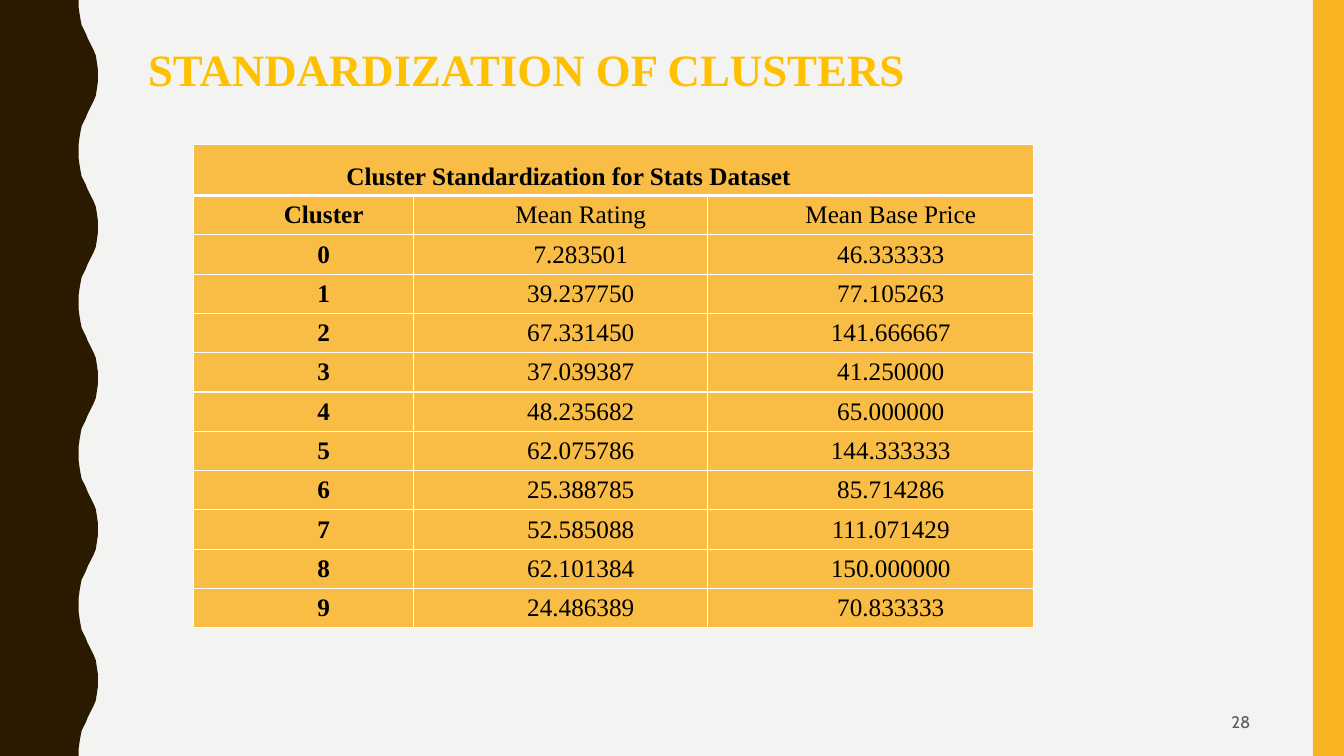
from lxml import etree
from pptx import Presentation
from pptx.dml.color import RGBColor
from pptx.enum.shapes import MSO_SHAPE
from pptx.enum.text import MSO_ANCHOR, PP_ALIGN
from pptx.oxml.ns import qn
from pptx.util import Inches, Pt

RECTANGLE = MSO_SHAPE.RECTANGLE
TOP, MIDDLE = MSO_ANCHOR.TOP, MSO_ANCHOR.MIDDLE
LEFT, CENTER, RIGHT = PP_ALIGN.LEFT, PP_ALIGN.CENTER, PP_ALIGN.RIGHT

TITLE = "STANDARDIZATION OF CLUSTERS"
PAGE_NUMBER = "28"
TABLE_TITLE = "Cluster Standardization for Stats Dataset"
TABLE_ROWS = [
    ("Cluster", "Mean Rating", "Mean Base Price"),
    ("0", "7.283501", "46.333333"),
    ("1", "39.237750", "77.105263"),
    ("2", "67.331450", "141.666667"),
    ("3", "37.039387", "41.250000"),
    ("4", "48.235682", "65.000000"),
    ("5", "62.075786", "144.333333"),
    ("6", "25.388785", "85.714286"),
    ("7", "52.585088", "111.071429"),
    ("8", "62.101384", "150.000000"),
    ("9", "24.486389", "70.833333"),
]
COLUMN_WIDTHS = (2.18, 2.92, 3.23)
TITLE_ROW_HEIGHT, ROW_HEIGHT = 0.51, 0.39
SERIF, SANS = "Times New Roman", "Cabin"

WAVE_COUNT, WAVE_PERIOD = 5, 1.5
HALF_WAVE = [
    (0.78, 0), (0.78, 0.07), (0.79, 0.14), (0.8, 0.2), (0.81, 0.25),
    (0.83, 0.29), (0.85, 0.33), (0.87, 0.38), (0.89, 0.42), (0.91, 0.46),
    (0.93, 0.5), (0.95, 0.55), (0.96, 0.61), (0.97, 0.68), (0.97, 0.75),
]


def color(value):
    return RGBColor.from_string(value)


def paint(shape, value):
    shape.fill.solid()
    shape.fill.fore_color.rgb = color(value)
    shape.line.fill.background()
    shape.shadow.inherit = False


def write(text_frame, text, font_name, size, value, alignment, bold=False):
    text_frame.text = text
    paragraph = text_frame.paragraphs[0]
    paragraph.alignment = alignment
    font = paragraph.runs[0].font
    font.name, font.size, font.bold = font_name, Pt(size), bold
    font.color.rgb = color(value)
    return paragraph


def add_text(slide, box, anchor, *style):
    text_frame = slide.shapes.add_textbox(*map(Inches, box)).text_frame
    text_frame.word_wrap = True
    text_frame.vertical_anchor = anchor
    return write(text_frame, *style)


def add_wavy_band(slide):
    wave = HALF_WAVE + [(x, WAVE_PERIOD - y) for x, y in HALF_WAVE[-2::-1]]
    edge = [(x, y + WAVE_PERIOD * i) for i in range(WAVE_COUNT) for x, y in wave]
    outline = edge + [(0, WAVE_COUNT * WAVE_PERIOD)]
    builder = slide.shapes.build_freeform(0, 0)
    builder.add_line_segments([(Inches(x), Inches(y)) for x, y in outline], close=True)
    paint(builder.convert_to_shape(), "2A1A00")


def style_cell(cell, top, bottom):
    cell.vertical_anchor = MIDDLE
    cell.margin_left = cell.margin_right = Inches(0.07)
    cell.margin_top = cell.margin_bottom = 0
    properties = cell._tc.get_or_add_tcPr()
    for side, width in (("L", 1), ("R", 1), ("T", top), ("B", bottom)):
        line = etree.SubElement(properties, qn(f"a:ln{side}"), w=str(Pt(width)))
        fill = etree.SubElement(line, qn("a:solidFill"))
        etree.SubElement(fill, qn("a:srgbClr"), val="FFFFFF")
    cell.fill.solid()
    cell.fill.fore_color.rgb = color("F9BD45")


def add_cluster_table(slide):
    row_count, column_count = len(TABLE_ROWS) + 1, len(COLUMN_WIDTHS)
    height = TITLE_ROW_HEIGHT + ROW_HEIGHT * len(TABLE_ROWS)
    box = (1.92, 1.43, sum(COLUMN_WIDTHS), height)
    table = slide.shapes.add_table(row_count, column_count, *map(Inches, box)).table
    for column, width in zip(table.columns, COLUMN_WIDTHS):
        column.width = Inches(width)
    for index, row in enumerate(table.rows):
        row.height = Inches(ROW_HEIGHT if index else TITLE_ROW_HEIGHT)
        for cell in row.cells:
            style_cell(cell, 3 if index == 1 else 1, 1 if index else 3)

    heading = table.cell(0, 0)
    heading.merge(table.cell(0, column_count - 1))
    heading.margin_right = Inches(0.96)
    paragraph = write(heading.text_frame, TABLE_TITLE, SERIF, 18, "000000", CENTER, True)
    paragraph.line_spacing = 1.5

    for row_index, values in enumerate(TABLE_ROWS, 1):
        for column_index, value in enumerate(values):
            text_frame = table.cell(row_index, column_index).text_frame
            paragraph = write(text_frame, value, SERIF, 18, "000000", CENTER, column_index == 0)
            properties = paragraph._p.get_or_add_pPr()
            properties.set("marL", str(Inches(0.65)))
            properties.set("indent", str(Inches(-0.25)))


def main():
    presentation = Presentation()
    presentation.slide_width = Inches(13.33)
    presentation.slide_height = Inches(7.5)
    slide = presentation.slides.add_slide(presentation.slide_layouts[6])
    slide.background.fill.solid()
    slide.background.fill.fore_color.rgb = color("F3F3F2")

    add_wavy_band(slide)
    side_bar = slide.shapes.add_shape(RECTANGLE, *map(Inches, (13.02, 0, 0.31, 7.5)))
    paint(side_bar, "F8B323")
    title = add_text(slide, (1.37, 0.42, 11.13, 0.69), TOP,
                     TITLE, SERIF, 32, "FFC000", LEFT, True)
    title.line_spacing = 0.9
    add_cluster_table(slide)
    add_text(slide, (9.42, 6.97, 3.08, 0.38), MIDDLE,
             PAGE_NUMBER, SANS, 12, "595959", RIGHT)
    presentation.save("out.pptx")


if __name__ == "__main__":
    main()
